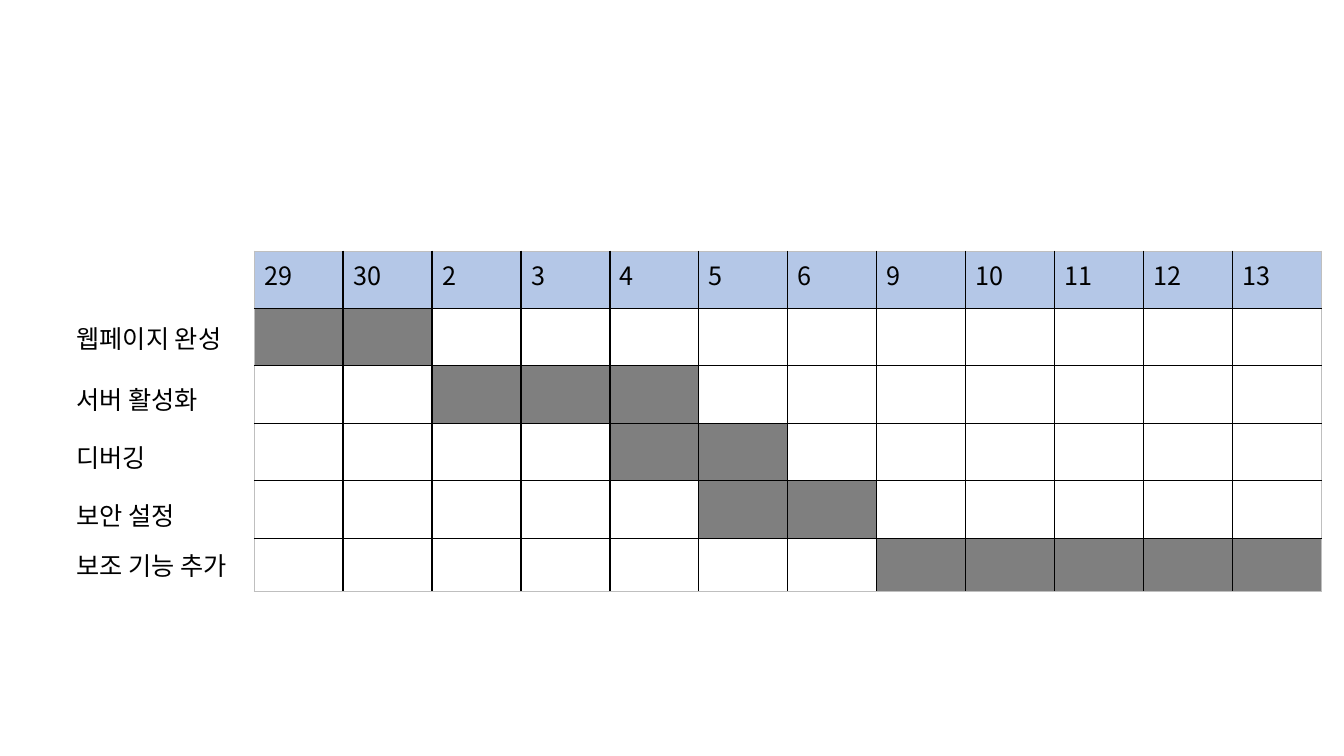
from lxml import etree
from pptx import Presentation
from pptx.dml.color import RGBColor
from pptx.enum import text
from pptx.oxml import ns
from pptx.util import Inches, Pt

DAYS = [29, 30, 2, 3, 4, 5, 6, 9, 10, 11, 12, 13]
TASKS = [
    ("웹페이지 완성", 29, 30, 3.16, 1.79),
    ("서버 활성화", 2, 4, 3.76, 1.79),
    ("디버깅", 4, 5, 4.34, 1.79),
    ("보안 설정", 5, 6, 4.91, 1.79),
    ("보조 기능 추가", 9, 13, 5.41, 1.91),
]
LABEL_LEFT, LABEL_HEIGHT = 0.66, 0.4
CHART_LEFT, CHART_TOP, CHART_WIDTH = 2.52, 2.49, 10.59
ROW_HEIGHTS = [0.57] * len(TASKS) + [0.53]
FONT = "Noto Sans CJK KR"
BLACK = RGBColor(0x00, 0x00, 0x00)
HEADER_BLUE = RGBColor(0xB4, 0xC7, 0xE7)
EDGE_GREY = RGBColor(0xBF, 0xBF, 0xBF)


def write(frame, words):
    """Add one run of words in the slide's text style."""
    run = frame.paragraphs[0].add_run()
    run.text = words
    run.font.size = Pt(18)
    run.font.color.rgb = BLACK
    run.font.name = FONT
    etree.SubElement(run.font._element, ns.qn("a:ea"), typeface=FONT)


def draw_borders(cell, outer_sides):
    """Rule black inner lines and thin grey outer edges."""
    properties = cell._tc.get_or_add_tcPr()
    for position, side in enumerate("LRTB"):
        outer = side in outer_sides
        width = Pt(0.5) if outer else Pt(1)
        line = etree.Element(ns.qn("a:ln" + side), w=str(int(width)))
        fill = etree.SubElement(line, ns.qn("a:solidFill"))
        colour = EDGE_GREY if outer else BLACK
        etree.SubElement(fill, ns.qn("a:srgbClr"), val=str(colour))
        properties.insert(position, line)


def fill_cell(cell, colour, opacity=100):
    """Fill a cell with a colour at a percentage of opacity."""
    cell.fill.solid()
    cell.fill.fore_color.rgb = colour
    if opacity < 100:
        shade = cell._tc.tcPr.find(".//" + ns.qn("a:solidFill") + "/" + ns.qn("a:srgbClr"))
        etree.SubElement(shade, ns.qn("a:alpha"), val=str(opacity * 1000))


def add_schedule(slide):
    """Add the day grid with a bar of shaded cells for each task."""
    schedule = slide.shapes.add_table(
        len(ROW_HEIGHTS), len(DAYS), Inches(CHART_LEFT), Inches(CHART_TOP),
        Inches(CHART_WIDTH), Inches(sum(ROW_HEIGHTS))).table
    schedule.first_row = schedule.horz_banding = False
    for column in schedule.columns:
        column.width = Inches(CHART_WIDTH / len(DAYS))
    for row, height in enumerate(ROW_HEIGHTS):
        schedule.rows[row].height = Inches(height)
        for column, day in enumerate(DAYS):
            cell = schedule.cell(row, column)
            if row == 0:
                fill_cell(cell, HEADER_BLUE)
                write(cell.text_frame, str(day))
            else:
                start, end = TASKS[row - 1][1:3]
                if DAYS.index(start) <= column <= DAYS.index(end):
                    fill_cell(cell, BLACK, 50)
                else:
                    cell.fill.background()
            edges = {"L": column == 0, "R": column == len(DAYS) - 1,
                     "T": row == 0, "B": row == len(ROW_HEIGHTS) - 1}
            draw_borders(cell, [side for side in edges if edges[side]])


def add_labels(slide):
    """Add the task names to the left of the grid."""
    for task, _, _, top, width in TASKS:
        label = slide.shapes.add_textbox(
            Inches(LABEL_LEFT), Inches(top), Inches(width), Inches(LABEL_HEIGHT)).text_frame
        label.word_wrap = True
        label.auto_size = text.MSO_AUTO_SIZE.SHAPE_TO_FIT_TEXT
        write(label, task)


def main():
    """Build the schedule slide."""
    deck = Presentation()
    deck.slide_width, deck.slide_height = Inches(13.33), Inches(7.5)
    slide = deck.slides.add_slide(deck.slide_layouts[6])
    add_schedule(slide)
    add_labels(slide)
    deck.save("out.pptx")


if __name__ == "__main__":
    main()
